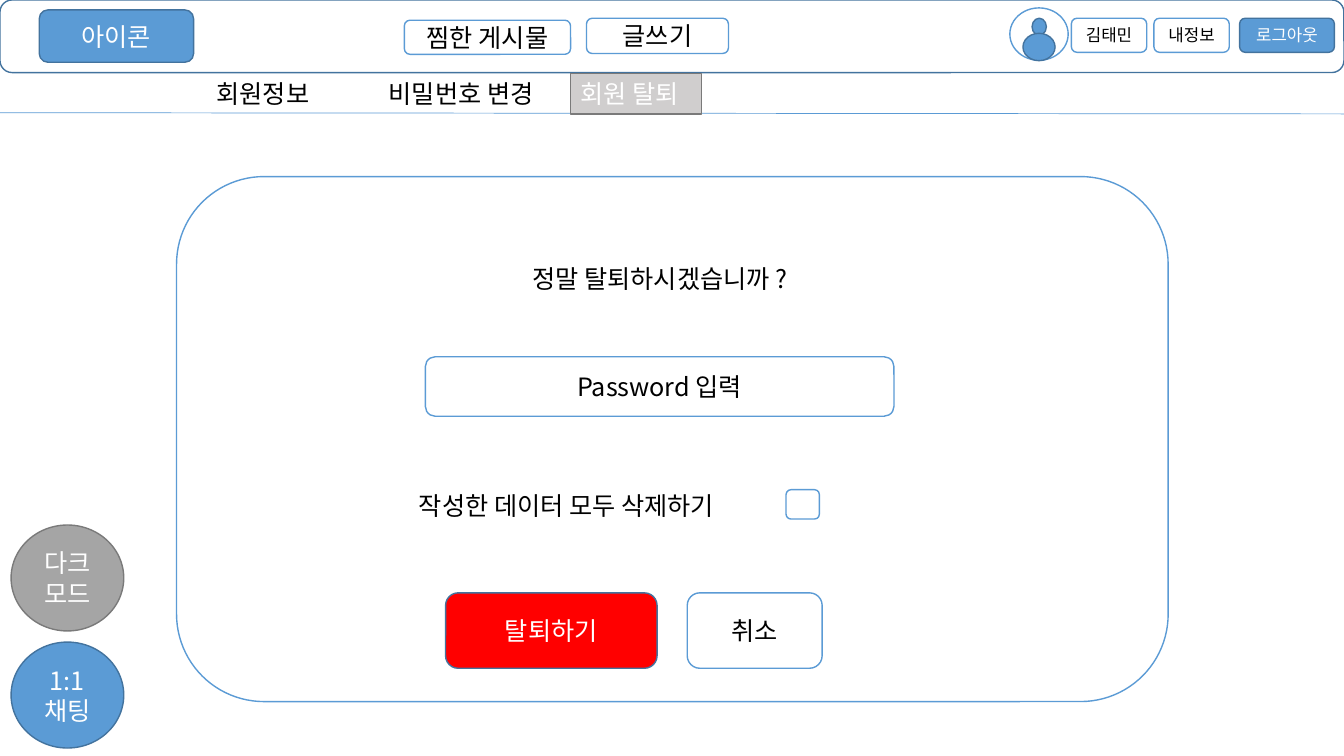
from dataclasses import dataclass
from typing import Optional

from lxml.etree import SubElement
from pptx import Presentation
from pptx.dml.color import RGBColor
from pptx.enum.shapes import MSO_CONNECTOR, MSO_SHAPE
from pptx.enum.text import MSO_ANCHOR, MSO_AUTO_SIZE, PP_ALIGN
from pptx.oxml.ns import qn
from pptx.util import Cm, Pt

FONT = "Noto Sans CJK KR"
COLORS = {
    "white": "FFFFFF", "black": "000000", "blue": "5B9BD5", "navy": "43739E",
    "gray": "A5A5A5", "dark_gray": "7A7A7A", "light_gray": "D0CECE", "red": "FF0000",
}
WIDTH, HEIGHT = 33.87, 19.05
ROUND, OVAL, RECT = MSO_SHAPE.ROUNDED_RECTANGLE, MSO_SHAPE.OVAL, MSO_SHAPE.RECTANGLE


@dataclass(frozen=True)
class Box:
    """A shape with lengths in centimetres."""
    left: float
    top: float
    width: float
    height: float
    text: str = ""
    kind: MSO_SHAPE = ROUND
    fill: Optional[str] = "white"
    line: Optional[str] = "blue"
    color: str = "black"
    size: int = 18
    fitted: bool = False


@dataclass(frozen=True)
class Label:
    """Plain text with lengths in centimetres."""
    left: float
    top: float
    width: float
    text: str
    height: float = 1.02


def rgb(name: str) -> RGBColor:
    return RGBColor.from_string(COLORS[name])


def write(frame, text: str, color: str, size: int = 18, fitted: bool = False) -> None:
    """Fitted text starts at the top left; other text is centred."""
    frame.word_wrap = not fitted
    frame.auto_size = MSO_AUTO_SIZE.SHAPE_TO_FIT_TEXT if fitted else MSO_AUTO_SIZE.NONE
    frame.vertical_anchor = MSO_ANCHOR.TOP if fitted else MSO_ANCHOR.MIDDLE
    paragraph = frame.paragraphs[0]
    paragraph.alignment = PP_ALIGN.LEFT if fitted else PP_ALIGN.CENTER
    run = paragraph.add_run()
    run.text = text
    run.font.size = Pt(size)
    run.font.color.rgb = rgb(color)
    run.font.name = FONT
    SubElement(run.font._element, qn("a:ea")).set("typeface", FONT)


def draw_box(slide, box: Box) -> None:
    shape = slide.shapes.add_shape(
        box.kind, Cm(box.left), Cm(box.top), Cm(box.width), Cm(box.height))
    shape.shadow.inherit = False
    if box.fill:
        shape.fill.solid()
        shape.fill.fore_color.rgb = rgb(box.fill)
    else:
        shape.fill.background()
    if box.line:
        shape.line.color.rgb = rgb(box.line)
        shape.line.width = Pt(1)
    else:
        shape.line.fill.background()
    if box.text:
        write(shape.text_frame, box.text, box.color, box.size, box.fitted)


def draw_label(slide, label: Label) -> None:
    area = slide.shapes.add_textbox(
        Cm(label.left), Cm(label.top), Cm(label.width), Cm(label.height))
    write(area.text_frame, label.text, "black", fitted=True)


def draw_divider(slide) -> None:
    divider = slide.shapes.add_connector(
        MSO_CONNECTOR.STRAIGHT, Cm(0), Cm(2.84), Cm(WIDTH), Cm(2.87))
    divider.line.color.rgb = rgb("blue")
    divider.line.width = Pt(0.5)
    SubElement(divider._element.spPr, qn("a:effectLst"))


def place_question(slide) -> None:
    question = slide.shapes.title
    question.left, question.top = Cm(13.16), Cm(6.5)
    question.width, question.height = Cm(7.44), Cm(1.02)
    write(question.text_frame, "정말 탈퇴하시겠습니까 ?", "black", fitted=True)
    # Bring the question in front of the panel
    slide.shapes._spTree.append(question._element)


# Top bar with logo, main buttons, avatar and account buttons
HEADER = [
    Box(0, 0, WIDTH, 1.83, line="navy"),
    Box(0.99, 0.25, 3.89, 1.32, "아이콘", fill="blue", line="navy", color="white"),
    Box(10.19, 0.51, 4.19, 0.86, "찜한 게시물"),
    Box(14.78, 0.46, 3.58, 0.89, "글쓰기"),
    Box(25.45, 0.2, 1.47, 1.32, kind=OVAL),
    Box(26.01, 0.46, 0.36, 0.43, kind=OVAL, fill="blue", line="navy"),
    Box(25.78, 0.84, 0.81, 0.69, kind=OVAL, fill="blue", line="navy"),
    Box(27, 0.46, 1.9, 0.86, "김태민", size=12),
    Box(29.08, 0.46, 1.9, 0.86, "내정보", size=12),
    Box(31.24, 0.46, 2.39, 0.86, "로그아웃", fill="blue", line="navy",
        color="white", size=12),
]

# Tabs under the top bar
TABS = [
    Box(9.27, 1.85, 4.7, 0.99, "비밀번호 변경", fill=None, line=None),
    Box(14.38, 1.85, 3.3, 1.02, "회원 탈퇴", RECT, "light_gray", "dark_gray",
        "white", fitted=True),
]

# Round buttons on the left
SIDE_BUTTONS = [
    Box(0.28, 13.23, 2.84, 2.67, "다크모드", OVAL, "gray", "dark_gray", "white"),
    Box(0.28, 16.18, 2.84, 2.67, "1:1 채팅", OVAL, "blue", "navy", "white"),
]

# Withdrawal panel with its form
PANEL = [
    Box(4.45, 4.45, 24.99, 13.23),
    Box(10.72, 8.99, 11.81, 1.5, "Password 입력"),
    Box(19.81, 12.34, 0.84, 0.74),
    Box(11.23, 14.94, 5.33, 1.9, "탈퇴하기", fill="red", line="navy", color="white"),
    Box(17.32, 14.94, 3.4, 1.9, "취소"),
]

LABELS = [
    Label(5.21, 1.85, 3.07, "회원정보"),
    Label(10.31, 12.22, 8.89, "작성한 데이터 모두 삭제하기"),
]


def main() -> None:
    deck = Presentation()
    deck.slide_width, deck.slide_height = Cm(WIDTH), Cm(HEIGHT)
    slide = deck.slides.add_slide(deck.slide_layouts.get_by_name("Title Only"))
    draw_divider(slide)
    for box in HEADER + TABS + SIDE_BUTTONS + PANEL:
        draw_box(slide, box)
    for label in LABELS:
        draw_label(slide, label)
    place_question(slide)
    deck.save("out.pptx")


if __name__ == "__main__":
    main()
